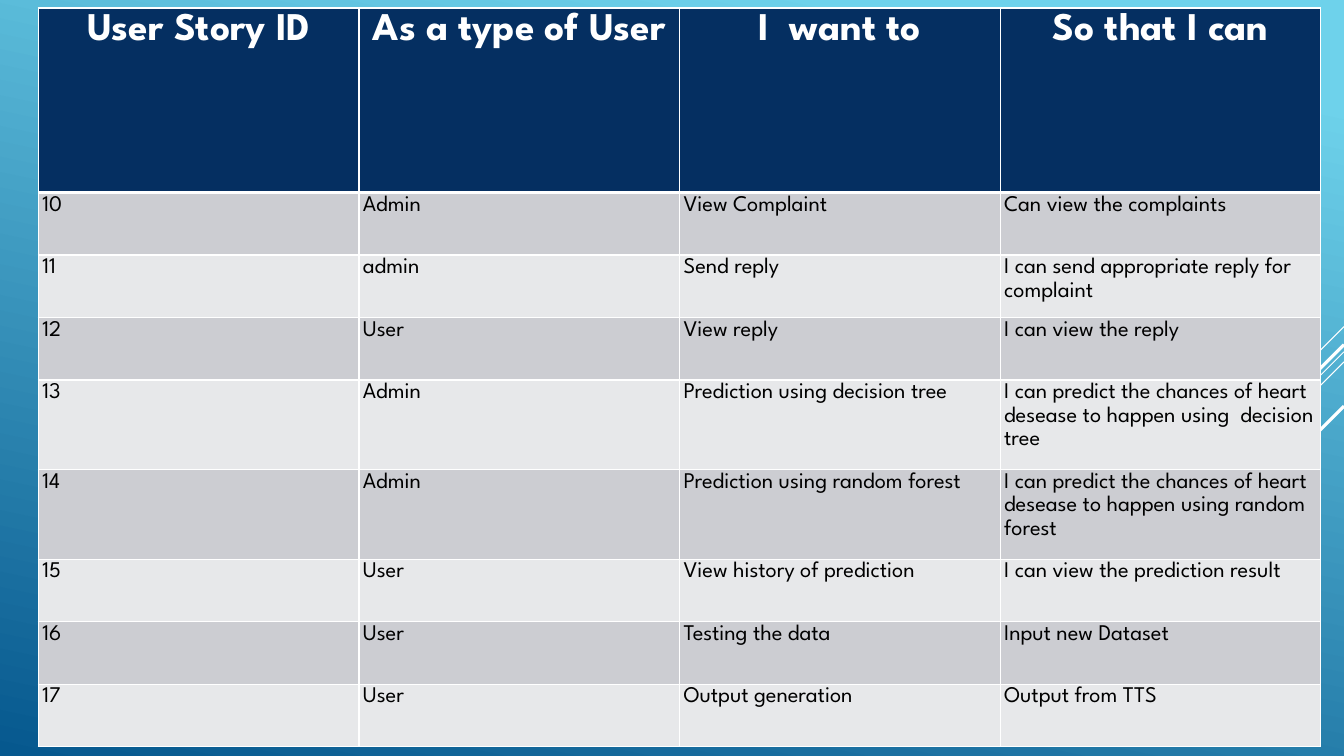
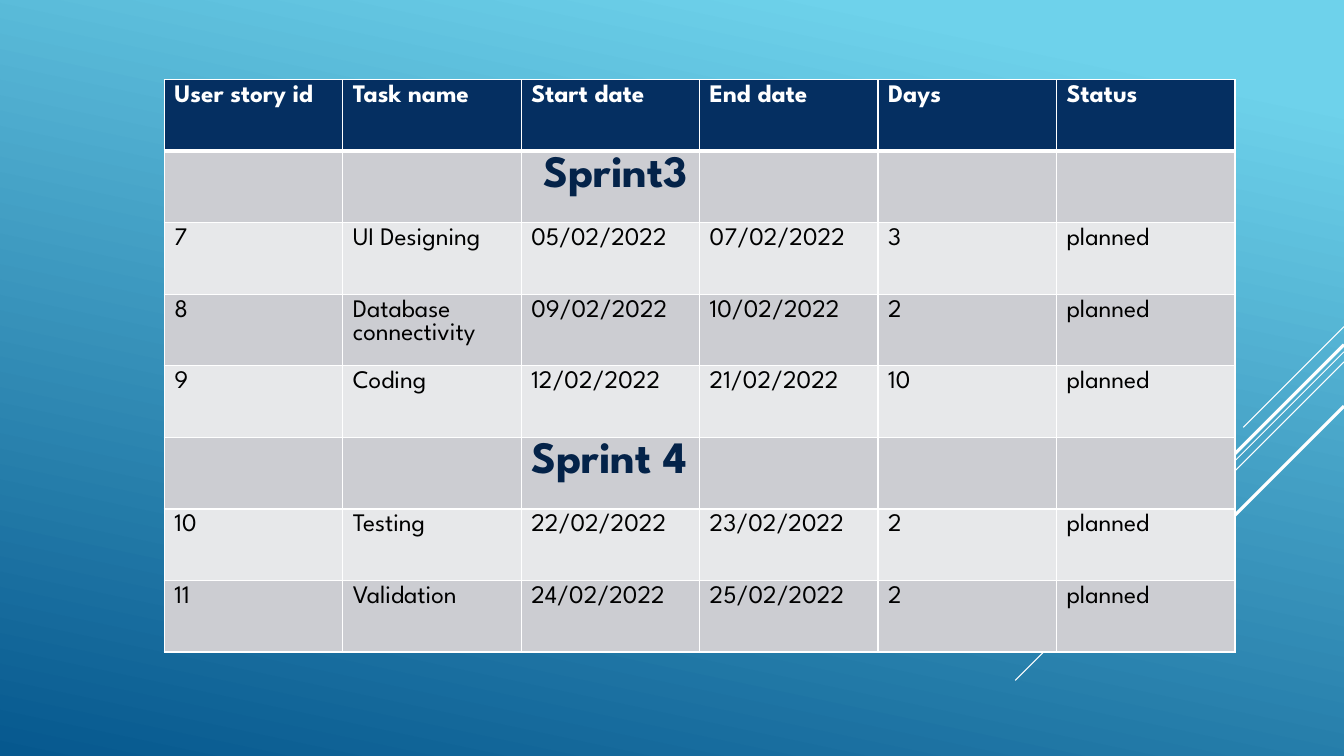
from lxml import etree
from pptx import Presentation
from pptx.dml.color import RGBColor
from pptx.enum.shapes import MSO_CONNECTOR
from pptx.enum.text import PP_ALIGN
from pptx.oxml.ns import qn
from pptx.util import Inches, Pt

STRAIGHT = MSO_CONNECTOR.STRAIGHT
LEFT, CENTER = PP_ALIGN.LEFT, PP_ALIGN.CENTER

FONT = "League Spartan"
COLORS = {
    "sky": "6ED2EB", "ocean": "06588E", "white": "FFFFFF", "black": "000000",
    "header": "052F61", "sprint": "042349", "dark_band": "CCCDD2", "light_band": "E7E8EA",
}
SLIDE_WIDTH, SLIDE_HEIGHT = 13.33, 7.5

# Diagonal lines from the right edge: start height, horizontal and vertical run, weight
DIAGONALS = [(3.24, 1.0, 0.75), (3.49, 3.26, 0.75), (3.59, 2.07, 0.75),
             (3.42, 1.91, 2.25), (4.03, 1.39, 2.25)]

# Slide 1: user stories
STORIES = [
    ("User Story ID", "As a type of User", "I  want to", "So that I can"),
    ("10", "Admin", "View Complaint", "Can view the complaints"),
    ("11", "admin", "Send reply", "I can send appropriate reply for complaint"),
    ("12", "User", "View reply", "I can view the reply"),
    ("13", "Admin", "Prediction using decision tree",
     "I can predict the chances of heart desease to happen using  decision tree"),
    ("14", "Admin", "Prediction using random forest",
     "I can predict the chances of heart desease to happen using random forest"),
    ("15", "User", "View history of prediction", "I can view the prediction result"),
    ("16", "User", "Testing the data", "Input new Dataset"),
    ("17", "User", "Output generation", "Output from TTS"),
]
STORY_HEIGHTS = [1.83, 0.62, 0.62, 0.62, 0.89, 0.89, 0.62, 0.62, 0.62]
STORY_STYLE = {"header_size": 28, "body_size": 16, "header_align": CENTER,
               "line_spacing": 1.15, "space_after": 10, "margins": (0.04, 0)}

# Slide 2: sprint plan
SPRINTS = [
    ("User story id", "Task name", "Start date", "End date", "Days", "Status"),
    ("", "", " Sprint3", "", "", ""),
    ("7", "UI Designing", "05/02/2022", "07/02/2022", "3", "planned"),
    ("8", "Database connectivity", "09/02/2022", "10/02/2022", "2", "planned"),
    ("9", "Coding", "12/02/2022", "21/02/2022", "10", "planned"),
    ("", "", "Sprint 4", "", "", ""),
    ("10", "Testing", "22/02/2022", "23/02/2022", "2", "planned"),
    ("11", "Validation", "24/02/2022", "25/02/2022", "2", "planned"),
]
SPRINT_HEIGHTS = [0.71] * len(SPRINTS)
SPRINT_STYLE = {"header_size": 18, "body_size": 18, "header_align": LEFT,
                "line_spacing": 1.0, "space_after": 0, "margins": (0.1, 0.05)}
SPRINT_TITLE_SIZE = 32


def color(name):
    return RGBColor.from_string(COLORS[name])


def add_base_slide(presentation):
    """Blank slide with the shared gradient and diagonal lines."""
    slide = presentation.slides.add_slide(presentation.slide_layouts[6])
    fill = slide.background.fill
    fill.gradient()
    fill.gradient_angle = 360 - 102
    for stop, position, name in zip(fill.gradient_stops, (0.1, 1), ("sky", "ocean")):
        stop.position = position
        stop.color.rgb = color(name)
    for top, run, weight in DIAGONALS:
        line = slide.shapes.add_connector(
            STRAIGHT, Inches(SLIDE_WIDTH), Inches(top),
            Inches(SLIDE_WIDTH - run), Inches(top + run))
        line.line.color.rgb = color("white")
        line.line.width = Pt(weight)
        etree.SubElement(line._element.spPr, qn("a:effectLst"))
    return slide


def set_borders(cell, top, bottom):
    properties = cell._tc.get_or_add_tcPr()
    for side, weight in (("L", 1), ("R", 1), ("T", top), ("B", bottom)):
        border = etree.SubElement(properties, qn("a:ln" + side), w=str(Pt(weight)))
        solid = etree.SubElement(border, qn("a:solidFill"))
        etree.SubElement(solid, qn("a:srgbClr"), val=COLORS["white"])


def format_cell(cell, text, row, is_sprint, style):
    is_header = row == 0
    set_borders(cell, 3 if row == 1 else 1, 3 if is_header else 1)
    band = "dark_band" if row % 2 else "light_band"
    cell.fill.solid()
    cell.fill.fore_color.rgb = color("header" if is_header else band)
    side, edge = style["margins"]
    cell.margin_left = cell.margin_right = Inches(side)
    cell.margin_top = cell.margin_bottom = Inches(edge)

    if is_header:
        size, ink = style["header_size"], "white"
    elif is_sprint:
        size, ink = SPRINT_TITLE_SIZE, "sprint"
    else:
        size, ink = style["body_size"], "black"
    cell.text_frame.text = text
    paragraph = cell.text_frame.paragraphs[0]
    paragraph.alignment = style["header_align"] if is_header else LEFT
    paragraph.line_spacing = style["line_spacing"]
    paragraph.space_after = Pt(style["space_after"])
    for run in paragraph.runs:
        run.font.name = FONT
        run.font.size = Pt(size)
        run.font.bold = is_header or is_sprint
        run.font.color.rgb = color(ink)


def add_story_table(slide, rows, heights, left, top, column_width, style):
    columns = len(rows[0])
    table = slide.shapes.add_table(
        len(rows), columns, Inches(left), Inches(top),
        Inches(column_width * columns), Inches(sum(heights))).table
    for column in table.columns:
        column.width = Inches(column_width)
    for row, (texts, height) in enumerate(zip(rows, heights)):
        table.rows[row].height = Inches(height)
        is_sprint = not texts[0]
        for column, text in enumerate(texts):
            format_cell(table.cell(row, column), text, row, is_sprint, style)


def main():
    presentation = Presentation()
    presentation.slide_width = Inches(SLIDE_WIDTH)
    presentation.slide_height = Inches(SLIDE_HEIGHT)
    add_story_table(add_base_slide(presentation), STORIES, STORY_HEIGHTS,
                    0.38, 0.08, 3.18, STORY_STYLE)
    add_story_table(add_base_slide(presentation), SPRINTS, SPRINT_HEIGHTS,
                    1.63, 0.79, 1.77, SPRINT_STYLE)
    presentation.save("out.pptx")


if __name__ == "__main__":
    main()
